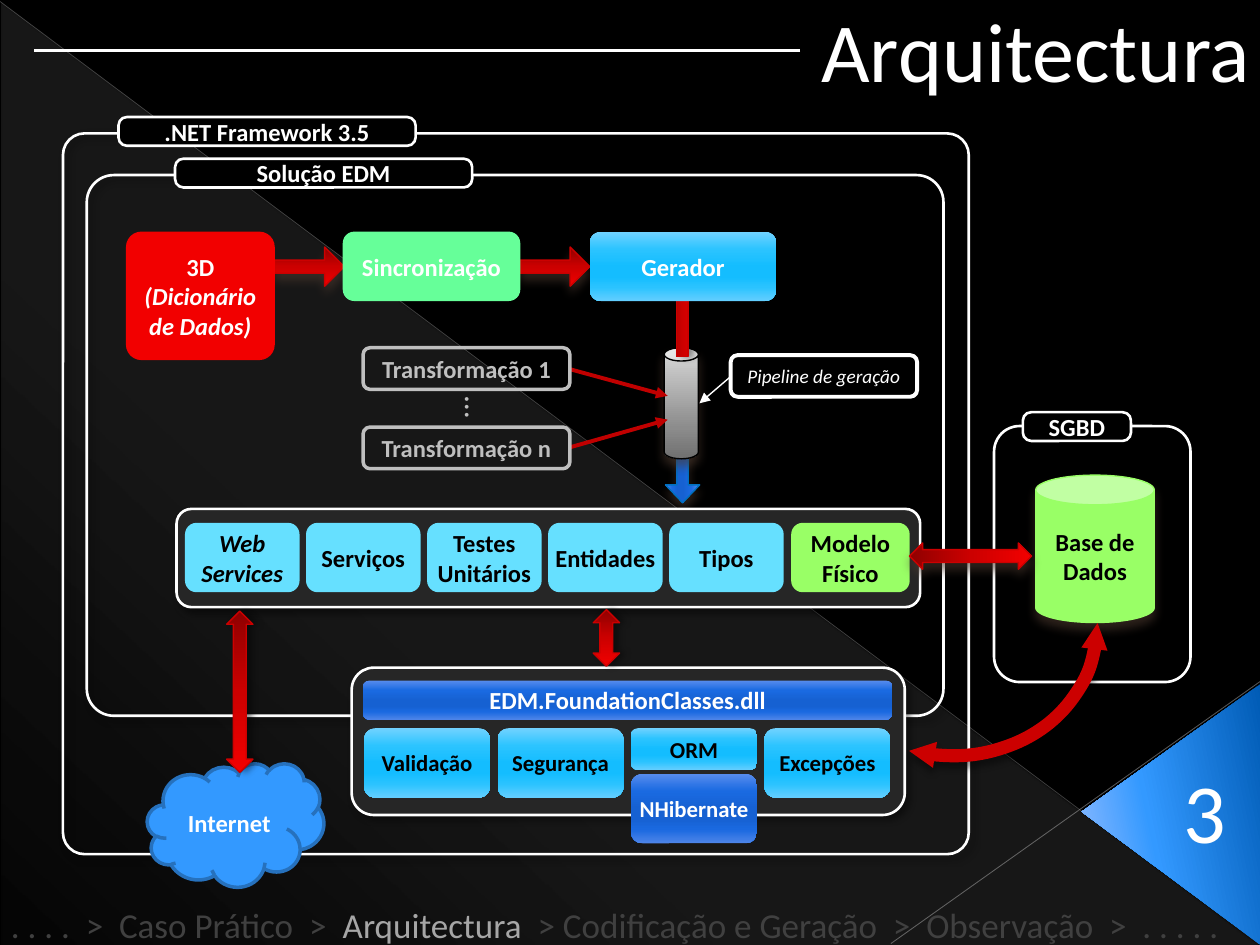
from lxml import etree
from pptx import Presentation
from pptx.dml.color import RGBColor
from pptx.enum.shapes import MSO_CONNECTOR, MSO_SHAPE
from pptx.enum.text import MSO_ANCHOR, PP_ALIGN
from pptx.oxml.ns import qn
from pptx.util import Cm, Pt

STRAIGHT = MSO_CONNECTOR.STRAIGHT
ROUNDED, CAN, CLOUD = MSO_SHAPE.ROUNDED_RECTANGLE, MSO_SHAPE.CAN, MSO_SHAPE.CLOUD
RIGHT_ARROW, UP_DOWN = MSO_SHAPE.RIGHT_ARROW, MSO_SHAPE.UP_DOWN_ARROW
CORNER, TRIANGLE, ARC = MSO_SHAPE.RIGHT_TRIANGLE, MSO_SHAPE.ISOSCELES_TRIANGLE, MSO_SHAPE.ARC
TOP, MIDDLE = MSO_ANCHOR.TOP, MSO_ANCHOR.MIDDLE
LEFT, CENTER, JUSTIFY = PP_ALIGN.LEFT, PP_ALIGN.CENTER, PP_ALIGN.JUSTIFY

FONT = "Calibri"
WHITE, BLACK, SILVER, PANEL, DIM = "FFFFFF", "000000", "BFBFBF", "262626", "404040"
CRIMSON, CYAN, LIME = "CC0000", "66E0FF", "99FF66"
# Gradient stops: position, colour, opacity, all but the colour in percent
RED = [(0, "8F0000", 100), (50, CRIMSON, 100), (100, "F20000", 100)]
BLUE = [(0, "578CEE", 100), (25, "1A6AE1", 100), (50, "1661D2", 100),
        (65, "1661D2", 100), (80, "1A69E0", 100), (100, "4E85E9", 100)]
SKY = [(0, "71D2FF", 100), (25, "2CC4FF", 100), (50, "14BDFF", 100),
       (65, "14BDFF", 100), (80, "2AC3FF", 100), (100, "63CEFF", 100)]
STEEL = [(0, "DADADA", 100), (72, "8C8C8C", 100), (100, "707070", 100)]
VEIL = [(0, WHITE, 10), (70, WHITE, 8), (100, WHITE, 1)]
BADGE = [(0, "005BB5", 100), (60, "3399FF", 100), (100, "9BBFFF", 100)]
# Shadows: colour, opacity, blur, distance, direction
GLOW = ("4E3B30", 60, 6, 4, 90)
SOFT = (BLACK, 40, 4, 3, 45)
SIDE = (BLACK, 40, 4, 3, 0)
DROP = (BLACK, 40, 4, 3, 90)


def paint(fill, colour, angle=90, alpha=100):
    """Fill with nothing, one hex colour, or a list of gradient stops."""
    if colour is None:
        fill.background()
    elif isinstance(colour, str):
        fill.solid()
        fill.fore_color.rgb = RGBColor.from_string(colour)
        if alpha < 100:
            solid = fill._xPr.find(qn("a:solidFill"))
            etree.SubElement(solid[0], qn("a:alpha"), val=str(alpha * 1000))
    else:
        fill.gradient()
        fill.gradient_angle = 360 - angle
        stops = fill._xPr.find(qn("a:gradFill")).find(qn("a:gsLst"))
        for stop in list(stops):
            stops.remove(stop)
        for position, tone, opacity in colour:
            stop = etree.SubElement(stops, qn("a:gs"), pos=str(position * 1000))
            tint = etree.SubElement(stop, qn("a:srgbClr"), val=tone)
            etree.SubElement(tint, qn("a:alpha"), val=str(opacity * 1000))


def block(kind, box, fill=None, line=None, width=0.79, text=None, size=14, colour=WHITE,
          bold=True, italic=False, align=CENTER, anchor=MIDDLE, wrap=True, inset=None,
          adjust=(), rotation=0, angle=90, shadow=None):
    """Add a shape, or a text box when kind is None; text is a string or paragraphs of runs."""
    place = [Cm(value) for value in box]
    if kind is None:
        shape = slide.shapes.add_textbox(*place)
    else:
        shape = slide.shapes.add_shape(kind, *place)
        paint(shape.line.fill, line)
        if line:
            shape.line.width = Pt(width)
    paint(shape.fill, fill, angle)
    shape.rotation = rotation
    for index, value in enumerate(adjust):
        shape.adjustments[index] = value
    shape.shadow.inherit = False
    if shadow:
        tone, opacity, blur, distance, direction = shadow
        effects = shape._element.spPr.find(qn("a:effectLst"))
        outer = etree.SubElement(effects, qn("a:outerShdw"), blurRad=str(Pt(blur)),
                                 dist=str(Pt(distance)), dir=str(direction * 60000),
                                 rotWithShape="0")
        tint = etree.SubElement(outer, qn("a:srgbClr"), val=tone)
        etree.SubElement(tint, qn("a:alpha"), val=str(opacity * 1000))
    if text:
        frame = shape.text_frame
        layout = {"word_wrap": wrap, "vertical_anchor": anchor}
        if inset is not None:
            layout |= {f"margin_{side}": Cm(inset) for side in ("left", "top", "right", "bottom")}
        for name, value in layout.items():
            setattr(frame, name, value)
        paragraphs = [[(text, {})]] if isinstance(text, str) else text
        for index, runs in enumerate(paragraphs):
            paragraph = frame.add_paragraph() if index else frame.paragraphs[0]
            paragraph.alignment = align
            for words, changes in runs:
                run = paragraph.add_run()
                run.text = words
                style = {"name": FONT, "size": Pt(size), "bold": bold, "italic": italic}
                style |= changes
                paint(run.font.fill, style.pop("colour", colour))
                for name, value in style.items():
                    setattr(run.font, name, value)
    return shape


deck = Presentation()
deck.slide_width, deck.slide_height = Cm(25.4), Cm(19.05)
slide = deck.slides.add_slide(deck.slide_layouts[6])
paint(slide.background.fill, BLACK)

# Backdrop, pipeline and straight lines
block(CORNER, (0.03, 0.05, 25.35, 19), VEIL, angle=133)
block(RIGHT_ARROW, (13.11, 9.14, 1.3, 0.69), BLUE, "0070C0", adjust=[0.33, 0.52],
      rotation=90, shadow=GLOW)
block(CAN, (13.39, 7.01, 0.69, 2.24), STEEL, BLACK, adjust=[0.39], shadow=GLOW)
for ends, tone, width, alpha, arrow in [
    ((0, 0.03, 25.37, 19.02), "B4B4B4", 0.39, 35, False),
    ((25.4, 13.74, 17.96, 19.02), "BDBDBD", 0.47, 45, False),
    ((11.48, 7.44, 13.46, 7.98), "C00000", 2.25, 100, True),
    ((11.48, 9.02, 13.46, 8.46), "C00000", 2.25, 100, True),
    ((14.73, 7.59, 14.1, 8.13), WHITE, 0.79, 100, True),
    ((16.13, 1.02, 0.69, 1.02), WHITE, 2, 100, False),
]:
    link = slide.shapes.add_connector(STRAIGHT, *[Cm(value) for value in ends])
    link.line.width = Pt(width)
    paint(link.line.fill, tone, alpha=alpha)
    properties = link._element.spPr
    if arrow:
        etree.SubElement(properties.find(qn("a:ln")), qn("a:tailEnd"), type="triangle")
    etree.SubElement(properties, qn("a:effectLst"))
block(TRIANGLE, (20.98, 14.61, 5.26, 3.61), BADGE, adjust=[0.51], rotation=270, angle=258)

# Frames
for box, corner, inside in [
    ((1.27, 2.69, 18.26, 14.53), 0.03, None),
    ((1.75, 3.53, 17.27, 10.9), 0.05, None),
    ((20.04, 8.59, 3.96, 5.16), 0.13, None),
    ((7.09, 13.46, 11.15, 2.97), 0.15, PANEL),
    ((3.56, 10.26, 14.99, 1.98), 0.15, PANEL),
]:
    block(ROUNDED, box, inside, WHITE, 1.5, adjust=[corner], shadow=SOFT)
for label, box in [
    ("SGBD", (20.62, 8.31, 2.18, 0.58)),
    ("Solução EDM", (3.53, 3.2, 5.99, 0.58)),
    (".NET Framework 3.5", (2.39, 2.36, 5.99, 0.58)),
]:
    block(ROUNDED, box, BLACK, WHITE, 1.5, label, adjust=[0.29])

# Generation steps
for left in (5.54, 10.49):
    block(RIGHT_ARROW, (left, 4.98, 1.4, 0.79), RED, CRIMSON, adjust=[0.33, 0.5], shadow=GLOW)
block(RIGHT_ARROW, (13.16, 6.25, 1.19, 0.69), RED, CRIMSON, adjust=[0.33, 0],
      rotation=270, shadow=SIDE)
block(ROUNDED, (2.54, 4.67, 3, 2.59), "F20000", adjust=[0.12],
      text=[[("3D", {})], [("(Dicionário de Dados)", {"italic": True})]])
block(ROUNDED, (6.91, 4.67, 3.58, 1.4), "66FF99", text="Sincronização")
block(ROUNDED, (11.89, 4.67, 3.76, 1.4), SKY, text="Gerador")
for label, top in [("Transformação 1", 7.01), ("Transformação n", 8.61)]:
    block(ROUNDED, (7.32, top, 4.17, 0.84), None, SILVER, 2, label, colour=SILVER)
block(None, (9.42, 7.52, 0.41, 1.02), text="…", size=18, colour=SILVER, bold=False,
      align=LEFT, anchor=TOP, rotation=90)
block(ROUNDED, (14.73, 7.16, 3.76, 0.84), None, WHITE, 2.25, "Pipeline de geração",
      size=11, bold=False, italic=True)

# Generated parts
for column, label in enumerate(["Web Services", "Serviços", "Testes Unitários",
                                "Entidades", "Tipos"]):
    block(ROUNDED, (3.73 + 2.44 * column, 10.54, 2.31, 1.4), CYAN, text=label,
          colour=BLACK, italic=column == 0, inset=0)
block(ROUNDED, (15.95, 10.54, 2.39, 1.4), LIME, text="Modelo Físico", colour=BLACK)

# Foundation classes
block(ROUNDED, (7.32, 13.72, 10.67, 0.79), BLUE, text="EDM.FoundationClasses.dll")
for column, label, top, height, inside, tone in [
    (0, "Validação", 14.68, 1.4, SKY, BLACK),
    (1, "Segurança", 14.68, 1.4, SKY, BLACK),
    (2, "ORM", 14.68, 0.84, SKY, BLACK),
    (2, "NHibernate", 15.6, 1.4, BLUE, WHITE),
    (3, "Excepções", 14.68, 1.4, SKY, BLACK),
]:
    block(ROUNDED, (7.34 + 2.69 * column, top, 2.54, height), inside, text=label,
          size=13, colour=tone, inset=0)

# Outside systems and two-way flows
block(CAN, (20.88, 9.58, 2.39, 2.97), LIME, LIME, text="Base de Dados", colour=BLACK,
      shadow=GLOW)
block(CLOUD, (2.97, 15.39, 3.56, 2.49), "3399FF", "2671BD", 2, "Internet")
for box, turn, shade in [
    ((4.57, 12.32, 0.53, 3.25), 0, SIDE),
    ((11.96, 12.29, 0.53, 1.14), 0, SIDE),
    ((19.3, 9.98, 0.53, 2.46), 270, GLOW),
]:
    block(UP_DOWN, box, RED, CRIMSON, adjust=[0.46, 0.49], rotation=turn, shadow=shade)
# One degree of arc is 0.6 adjustment units
curve = block(ARC, (15.39, 8.05, 6.27, 7.62), None, CRIMSON, 7.5,
              adjust=[246 * 0.6, 328.5 * 0.6], rotation=125, shadow=DROP)
for end in ("a:headEnd", "a:tailEnd"):
    etree.SubElement(curve._element.spPr.find(qn("a:ln")), qn(end), type="triangle",
                     w="sm", len="sm")

# Title, page number and progress trail
for label, box in [("Arquitectura", (16.31, -0.15, 9.25, 2.31)),
                   ("3", (23.6, 15.19, 1.37, 2.31))]:
    block(None, box, text=label, size=48, bold=False, align=LEFT, anchor=TOP, wrap=False)
trail = [(". . . .  >  Caso Prático  >  ", {}),
         ("Arquitectura", {"colour": "A6A6A6"}),
         ("  > Codificação e Geração  >  Observação  >  . . . . .", {})]
block(None, (-0.03, 18.08, 25.2, 1.12), text=[trail], size=20, colour=DIM, bold=False,
      align=JUSTIFY, anchor=TOP)

deck.save("out.pptx")
